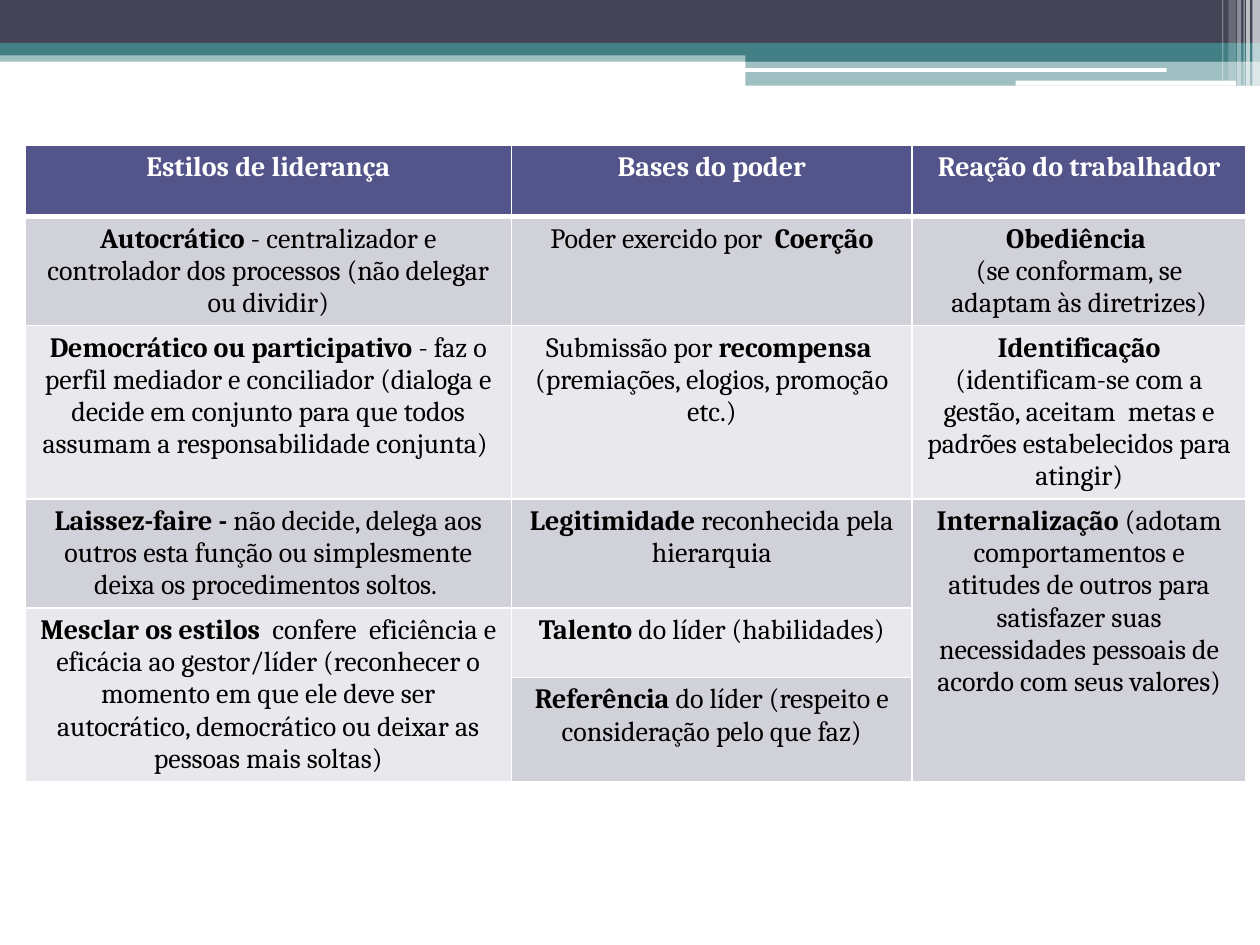
from lxml.etree import SubElement
from pptx import Presentation
from pptx.dml.color import RGBColor
from pptx.enum.shapes import MSO_SHAPE as Shape
from pptx.enum.text import PP_ALIGN as Align
from pptx.oxml.ns import qn
from pptx.util import Pt

FONT = "Cambria"
WHITE, BLACK, TEAL, SLATE = "FFFFFF", "000000", "438086", "424456"
HEADER, DARK_BAND, LIGHT_BAND = "53548A", "D1D1DA", "E9E9ED"

BANDS = [
    (0, 28.8, 720, 6.5, TEAL, 50),
    (0, 0, 720, 24.5, SLATE, 100),
    (0, 24.5, 720, 7.2, TEAL, 100),
    (426, 28.1, 294, 7.2, TEAL, 100),
    (426, 34.6, 294, 14.4, TEAL, 50),
]
ROUNDED_BARS = [
    (425.5, 38.9, 241.2, 2.2, WHITE, 100),
    (580.3, 46.1, 126, 2.9, WHITE, 100),
]
STRIPES = [
    (715.7, 0, 4.3, 49, WHITE, 65),
    (712.1, 0, 2.2, 49, WHITE, 65),
    (710.6, 0, 0.7, 49, WHITE, 60),
    (707, 0, 2.2, 49, WHITE, 40),
    (702, 0, 4.3, 46.1, WHITE, 20),
    (698.4, 0, 0.7, 46.1, WHITE, 30),
]

COLUMN_WIDTHS = [277.9, 229, 190.8]
ROW_HEIGHTS = [41, 39.6, 74.2, 49, 39.6, 54]
ROWS = [
    ["**Estilos de liderança**", "**Bases do poder**", "**Reação do trabalhador**"],
    ["**Autocrático** - centralizador e controlador dos processos (não delegar ou dividir)",
     "Poder exercido por  **Coerção**",
     "**Obediência **\n(se conformam, se adaptam às diretrizes)"],
    ["**Democrático ou participativo **- faz o perfil mediador e conciliador (dialoga e "
     "decide em conjunto para que todos assumam a responsabilidade conjunta) ",
     "Submissão por **recompensa**  (premiações, elogios, promoção etc.)",
     "**Identificação** (identificam-se com a gestão, aceitam  metas e padrões "
     "estabelecidos para atingir)"],
    ["**Laissez-faire - **não decide, delega aos outros esta função ou simplesmente "
     "deixa os procedimentos soltos. ",
     "**Legitimidade** reconhecida pela hierarquia",
     "**Internalização** (adotam comportamentos e atitudes de outros para satisfazer "
     "suas necessidades pessoais de acordo com seus valores)"],
    ["**Mesclar os estilos ** confere  eficiência e eficácia ao gestor/líder (reconhecer o "
     "momento em que ele deve ser autocrático, democrático ou deixar as pessoas mais soltas)",
     "**Talento** do líder (habilidades)", None],
    [None, "**Referência** do líder (respeito e consideração pelo que faz)", None],
]
MERGES = [((3, 2), (5, 2)), ((4, 0), (5, 0))]


def color(value):
    """Turn a hex string into a colour."""
    return RGBColor.from_string(value)


def add_bar(slide, kind, left, top, width, height, fill, opacity):
    """Add one borderless bar with the given opacity in percent."""
    bar = slide.shapes.add_shape(kind, Pt(left), Pt(top), Pt(width), Pt(height))
    bar.shadow.inherit = False
    bar.line.fill.background()
    bar.fill.solid()
    bar.fill.fore_color.rgb = color(fill)
    if opacity < 100:
        tint = bar.fill._xPr.find(qn("a:solidFill"))[0]
        SubElement(tint, qn("a:alpha"), val=str(opacity * 1000))


def add_top_band(slide, left, top):
    """Draw the layered band across the top of the slide."""
    layers = [(Shape.RECTANGLE, BANDS), (Shape.ROUNDED_RECTANGLE, ROUNDED_BARS),
              (Shape.RECTANGLE, STRIPES)]
    for kind, bars in layers:
        for x, y, *rest in bars:
            add_bar(slide, kind, left + x, top + y, *rest)


def set_border(cell, side, width):
    """Give one side of a cell a white line."""
    line = SubElement(cell._tc.get_or_add_tcPr(), qn(f"a:ln{side}"), w=str(Pt(width)))
    fill = SubElement(line, qn("a:solidFill"))
    SubElement(fill, qn("a:srgbClr"), val=WHITE)


def write_cell(cell, text, font_color):
    """Write centred text, with bold between double asterisks."""
    frame = cell.text_frame
    for index, line in enumerate(text.split("\n")):
        paragraph = frame.add_paragraph() if index else frame.paragraphs[0]
        paragraph.alignment = Align.CENTER
        paragraph.font.size = Pt(16)
        paragraph.font.name = FONT
        for part, words in enumerate(line.split("**")):
            if words:
                run = paragraph.add_run()
                run.text = words
                run.font.bold = part % 2 == 1
                run.font.size = Pt(16)
                run.font.name = FONT
                run.font.color.rgb = color(font_color)


def add_leadership_table(slide, left, top, width, height):
    """Build the table of leadership styles, power bases and reactions."""
    frame = slide.shapes.add_table(len(ROWS), len(COLUMN_WIDTHS),
                                   Pt(left), Pt(top), Pt(width), Pt(height))
    table = frame.table
    table.horz_banding = False
    for column, size in zip(table.columns, COLUMN_WIDTHS):
        column.width = Pt(size)
    for row, size in zip(table.rows, ROW_HEIGHTS):
        row.height = Pt(size)
    for r, texts in enumerate(ROWS):
        band = DARK_BAND if r % 2 else LIGHT_BAND
        for c, text in enumerate(texts):
            cell = table.cell(r, c)
            for side in "LRTB":
                under_header = (r, side) in [(0, "B"), (1, "T")]
                set_border(cell, side, 3 if under_header else 1)
            cell.fill.solid()
            cell.fill.fore_color.rgb = color(band if r else HEADER)
            if text:
                write_cell(cell, text, BLACK if r else WHITE)
    for first, last in MERGES:
        table.cell(*first).merge(table.cell(*last))
    frame.height = Pt(height)


def main():
    """Build and save the presentation."""
    presentation = Presentation()
    presentation.slide_width, presentation.slide_height = Pt(720), Pt(540)
    slide = presentation.slides.add_slide(presentation.slide_layouts[6])
    add_top_band(slide, 0, 0)
    add_leadership_table(slide, 14.4, 82.8, 697.7, 401)
    presentation.save("out.pptx")


if __name__ == "__main__":
    main()
